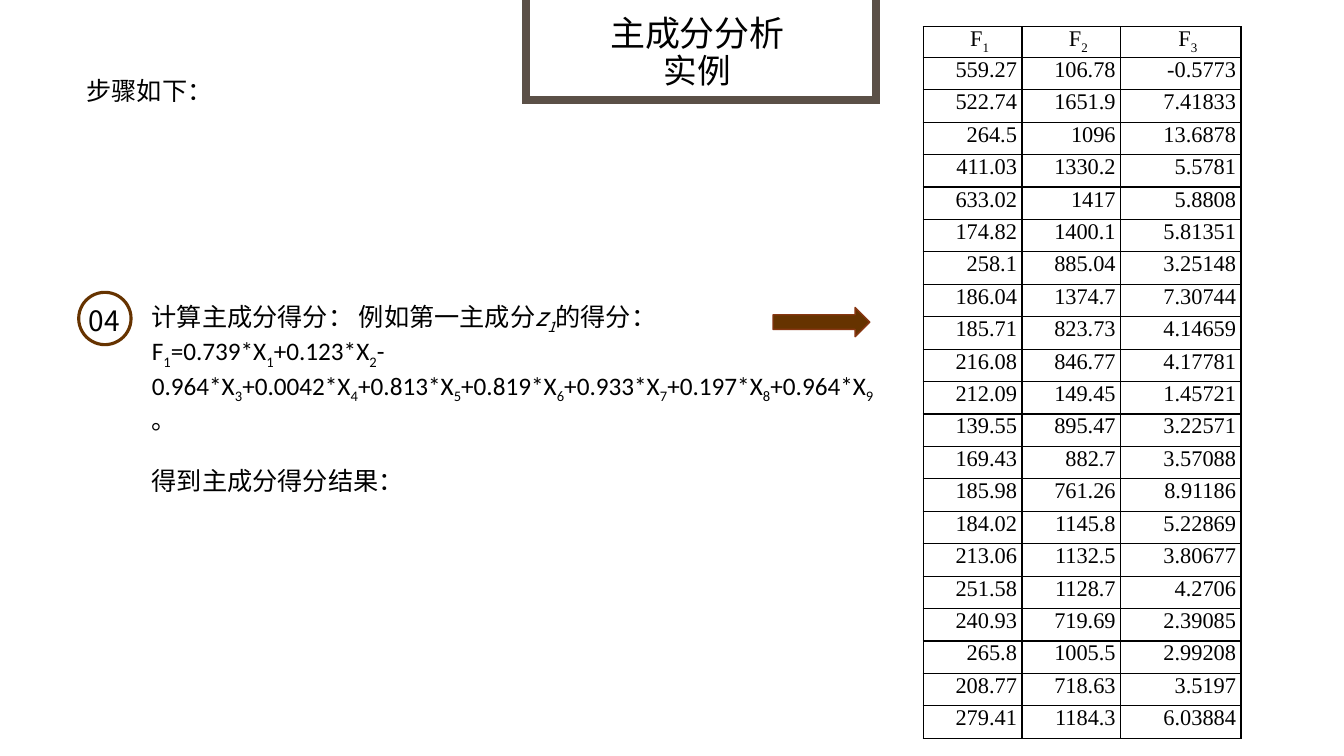
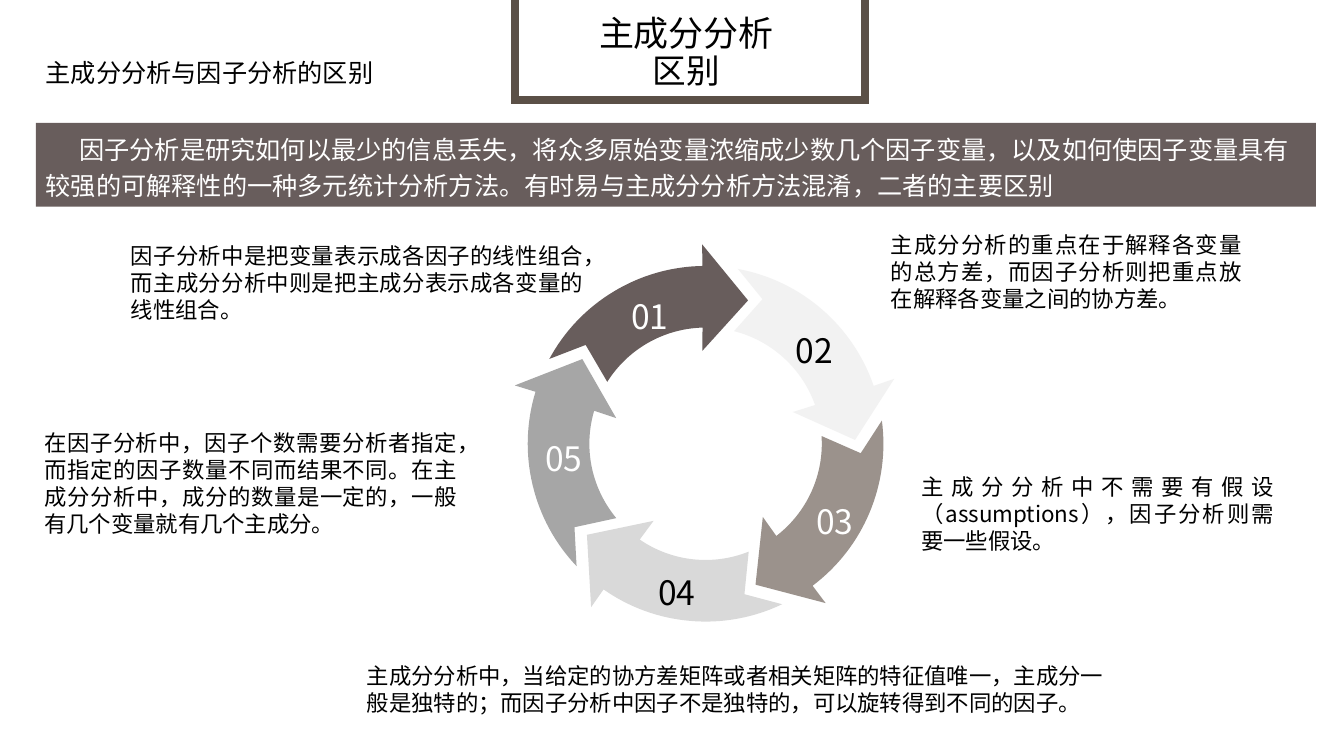
from math import cos, radians, sin

from lxml.etree import SubElement
from pptx import Presentation
from pptx.dml.color import RGBColor
from pptx.enum.shapes import MSO_SHAPE
from pptx.enum.text import MSO_ANCHOR, MSO_AUTO_SIZE, PP_ALIGN
from pptx.oxml.ns import qn
from pptx.util import Pt

INK = {
    "black": "000000", "white": "FFFFFF", "frame": "5B5047",
    "brown": "663300", "rust": "873612", "plum": "685D5C",
    "pale": "F2F2F2", "taupe": "9B928C", "light": "D9D9D9", "gray": "A6A6A6",
}
RGB = {name: RGBColor.from_string(code) for name, code in INK.items()}
SANS = "Noto Sans CJK SC"


def write(par, text, size, color="black", face=SANS, italic=False):
    head, *tail = text.split("_")
    parts = [(head, False)]
    for piece in tail:
        parts += [(piece[0], True), (piece[1:], False)]
    for part, low in parts:
        if not part:
            continue
        run = par.add_run()
        run.text = part
        style = {"size": Pt(size), "name": face, "bold": False, "italic": italic}
        for key, value in style.items():
            setattr(run.font, key, value)
        run.font.color.rgb = RGB[color]
        props = run._r.get_or_add_rPr()
        SubElement(props, qn("a:ea")).set("typeface", face)
        if low:
            props.set("baseline", "-25000")


def label(slide, box, text, size, color="black", align=PP_ALIGN.LEFT):
    frame = slide.shapes.add_textbox(*map(Pt, box)).text_frame
    frame.word_wrap = True
    par = frame.paragraphs[0]
    par.alignment = align
    write(par, text, size, color)


deck = Presentation()
deck.slide_width, deck.slide_height = Pt(960), Pt(540)

slides = []
for layout, left, topic in [(1, 375.8, "实例"), (5, 367.9, "区别")]:
    slide = deck.slides.add_slide(deck.slide_layouts[layout])
    slides.append(slide)
    title = slide.shapes.title
    place = {"left": left, "top": -51.8, "width": 249.8, "height": 123.1}
    for key, value in place.items():
        setattr(title, key, Pt(value))
    title.fill.solid()
    title.fill.fore_color.rgb = RGB["white"]
    title.line.color.rgb = RGB["frame"]
    title.line.width = Pt(5.5)
    edge = title._element.spPr.find(qn("a:ln"))
    SubElement(edge, qn("a:miter"), lim="800000")
    frame = title.text_frame
    style = {
        "auto_size": MSO_AUTO_SIZE.NONE, "vertical_anchor": MSO_ANCHOR.MIDDLE,
        "margin_left": 0, "margin_right": Pt(5),
        "margin_top": Pt(57), "margin_bottom": 0,
    }
    for key, value in style.items():
        setattr(frame, key, value)
    for par, text, size in [
        (frame.paragraphs[0], "主成分分析", 25),
        (frame.add_paragraph(), topic, 24),
    ]:
        par.alignment = PP_ALIGN.CENTER
        par.line_spacing = 0.9
        write(par, text, size)

score, differ = slides

label(score, (54.7, 50.4, 120, 29), "步骤如下：", 18)

body = score.placeholders[1]
place = {"left": 101.2, "top": 211.7, "width": 540, "height": 150}
for key, value in place.items():
    setattr(body, key, Pt(value))
frame = body.text_frame
frame.auto_size = MSO_AUTO_SIZE.NONE
intro = frame.paragraphs[0]
write(intro, "计算主成分得分： 例如第一主成分", 18)
write(intro, "z_1", 18, italic=True)
write(intro, "的得分：", 18)
sums = frame.add_paragraph()
write(
    sums,
    "F_1=0.739*X_1+0.123*X_2-0.964*X_3+0.0042*X_4+0.813*X_5"
    "+0.819*X_6+0.933*X_7+0.197*X_8+0.964*X_9。",
    18, face="Calibri",
)
close = frame.add_paragraph()
write(close, "得到主成分得分结果：", 18)
for par, gap in [(intro, 0), (sums, 0), (close, 21.6)]:
    par.space_before = Pt(gap)
    props = par._p.get_or_add_pPr()
    props.set("marL", "0")
    props.set("indent", "0")
    SubElement(props, qn("a:buNone"))

for kind, box, fill, edge, width in [
    (MSO_SHAPE.FLOWCHART_CONNECTOR, (56.2, 208.8, 37.4, 37.4), "white", "brown", 2.25),
    (MSO_SHAPE.RIGHT_ARROW, (552.2, 219.6, 69.1, 20.9), "brown", "rust", 1),
]:
    shape = score.shapes.add_shape(kind, *map(Pt, box))
    shape.shadow.inherit = False
    shape.fill.solid()
    shape.fill.fore_color.rgb = RGB[fill]
    shape.line.color.rgb = RGB[edge]
    shape.line.width = Pt(width)
label(score, (56.2, 213.1, 41.8, 31.7), "04", 20)

rows = [row.split() for row in """F_1 F_2 F_3
559.27 106.78 -0.5773
522.74 1651.9 7.41833
264.5 1096 13.6878
411.03 1330.2 5.5781
633.02 1417 5.8808
174.82 1400.1 5.81351
258.1 885.04 3.25148
186.04 1374.7 7.30744
185.71 823.73 4.14659
216.08 846.77 4.17781
212.09 149.45 1.45721
139.55 895.47 3.22571
169.43 882.7 3.57088
185.98 761.26 8.91186
184.02 1145.8 5.22869
213.06 1132.5 3.80677
251.58 1128.7 4.2706
240.93 719.69 2.39085
265.8 1005.5 2.99208
208.77 718.63 3.5197
279.41 1184.3 6.03884""".splitlines()]
grid = score.shapes.add_table(
    len(rows), 3, Pt(659.5), Pt(19.1), Pt(227), Pt(506)
).table
grid.first_row = grid.horz_banding = False
for col, width in zip(grid.columns, (70.5, 70.5, 86)):
    col.width = Pt(width)
for r, row in enumerate(rows):
    grid.rows[r].height = Pt(23.18 if r else 16.6)
    for c, text in enumerate(row):
        cell = grid.cell(r, c)
        margins = {"left": 3.6, "right": 3.6, "top": 0, "bottom": 0}
        for side, value in margins.items():
            setattr(cell, "margin_" + side, Pt(value))
        props = cell._tc.get_or_add_tcPr()
        for side in "LRTB":
            edge = SubElement(props, qn("a:ln" + side), w=str(Pt(1)))
            fill = SubElement(edge, qn("a:solidFill"))
            SubElement(fill, qn("a:srgbClr"), val=INK["black"])
        cell.fill.background()
        par = cell.text_frame.paragraphs[0]
        par.alignment = PP_ALIGN.RIGHT if r else PP_ALIGN.CENTER
        par._p.get_or_add_pPr().set("indent", str(Pt(10)))
        write(par, text, 16, face="Times New Roman")

label(differ, (25.6, 37.4, 260, 29), "主成分分析与因子分析的区别", 18)

band = differ.shapes.add_shape(
    MSO_SHAPE.RECTANGLE, Pt(25.6), Pt(87.8), Pt(914.4), Pt(59.8)
)
band.shadow.inherit = False
band.fill.solid()
band.fill.fore_color.rgb = RGB["plum"]
band.line.fill.background()
band.text_frame.vertical_anchor = MSO_ANCHOR.TOP
par = band.text_frame.paragraphs[0]
par.alignment = PP_ALIGN.LEFT
par.line_spacing = 1.2
par._p.get_or_add_pPr().set("indent", str(Pt(24)))
write(
    par,
    "因子分析是研究如何以最少的信息丢失，将众多原始变量浓缩成少数几个因子变量，"
    "以及如何使因子变量具有较强的可解释性的一种多元统计分析方法。"
    "有时易与主成分分析方法混淆，二者的主要区别",
    18, "white",
)

MIDX, MIDY = 504, 317
arrow = [
    (142.5, -1), (106.8, 16.5), (66.4, -2), (83, -1.5),
    (87.5, -20), (87.5, -39.3), (83, -57.8),
    (111, -50.5), (127, -61.5),
    (129, -51.46), (129, -41.29), (127, -31.25),
    (129, -21.21), (129, -11.04), (127, -1),
]
CURVES = (3, 8, 11)

ring = [
    ("plum", "white", 443.7, 208.1),
    ("pale", "black", 561.1, 231.8),
    ("taupe", "white", 576, 354.2),
    ("light", "black", 463, 404.8),
    ("gray", "white", 382.3, 309.6),
]
for n, (fill, color, left, top) in enumerate(ring):
    dots = []
    for far, turn in arrow:
        angle = radians(turn + 72 * n)
        dots.append((Pt(MIDX + far * sin(angle)), Pt(MIDY - far * cos(angle))))
    draft = differ.shapes.build_freeform(*dots[0])
    draft.add_line_segments(dots[1:])
    shape = draft.convert_to_shape()
    trace = next(shape._element.iter(qn("a:path")))
    lines = trace.findall(qn("a:lnTo"))
    for start in CURVES:
        curve = SubElement(trace, qn("a:cubicBezTo"))
        lines[start].addprevious(curve)
        for line in lines[start:start + 3]:
            curve.append(line[0])
            trace.remove(line)
    shape.shadow.inherit = False
    shape.fill.solid()
    shape.fill.fore_color.rgb = RGB[fill]
    shape.line.fill.background()
    label(differ, (left, top, 45.4, 31), f"{n + 1:02}", 24, color)

for box, text, align in [
    ((86.4, 169.4, 337.7, 65.5),
     "因子分析中是把变量表示成各因子的线性组合，而主成分分析中则是把主成分表示成各变量的线性组合。",
     PP_ALIGN.JUSTIFY),
    ((629.3, 161.5, 265, 65.5),
     "主成分分析的重点在于解释各变量的总方差，而因子分析则把重点放在解释各变量之间的协方差。",
     PP_ALIGN.JUSTIFY),
    ((650.9, 334.6, 266.4, 65.5),
     "主成分分析中不需要有假设（assumptions），因子分析则需要一些假设。",
     PP_ALIGN.JUSTIFY),
    ((24.5, 302.9, 309.6, 85),
     "在因子分析中，因子个数需要分析者指定，而指定的因子数量不同而结果不同。"
     "在主成分分析中，成分的数量是一定的，一般有几个变量就有几个主成分。",
     PP_ALIGN.JUSTIFY),
    ((254.9, 469.6, 546.5, 46),
     "主成分分析中，当给定的协方差矩阵或者相关矩阵的特征值唯一，主成分一般是独特的；"
     "而因子分析中因子不是独特的，可以旋转得到不同的因子。",
     PP_ALIGN.LEFT),
]:
    label(differ, box, text, 16, align=align)

deck.save("out.pptx")
